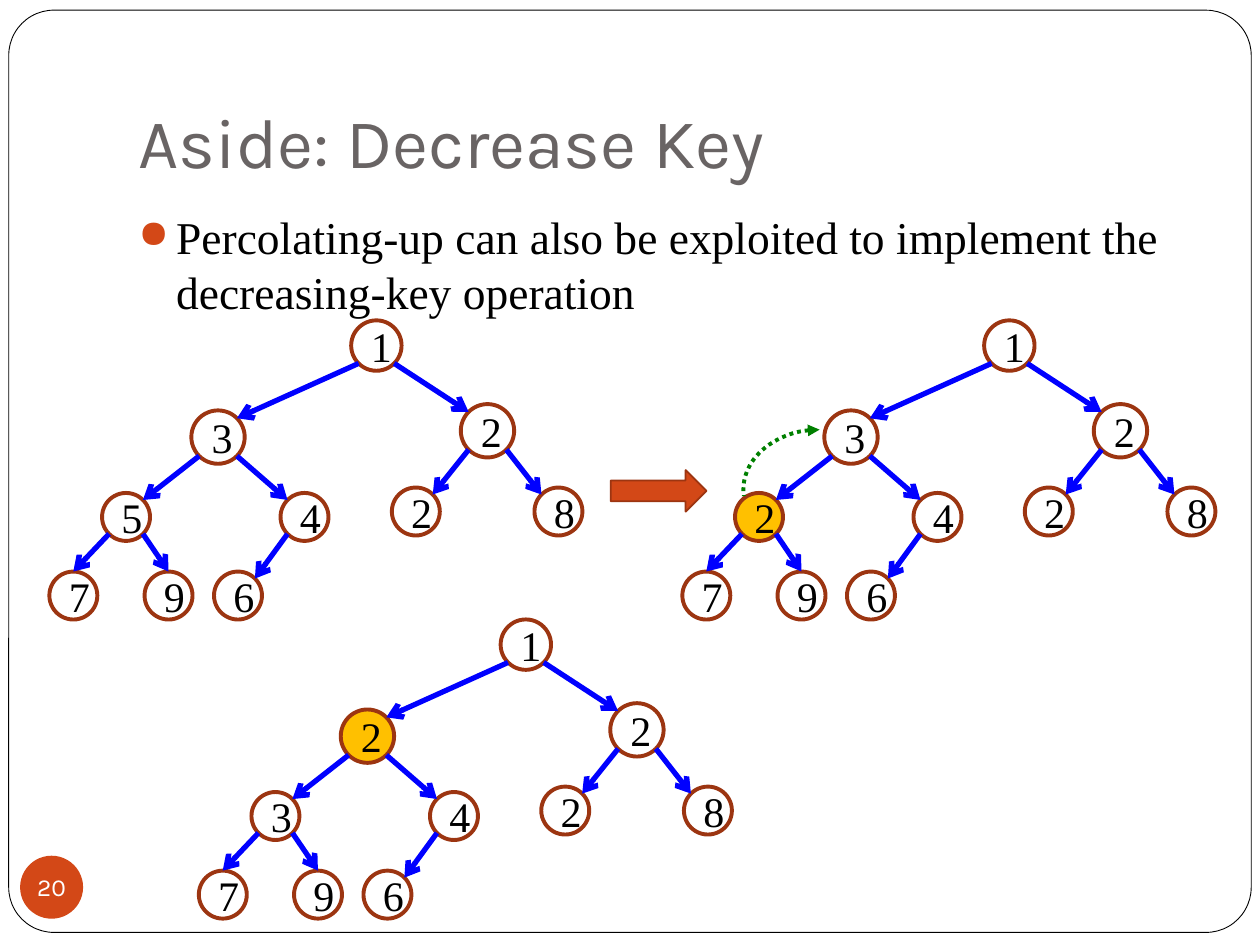
"""Build the slide on the decrease-key operation of a binary heap."""
from math import sqrt

from lxml.etree import SubElement
from pptx import Presentation
from pptx.dml.color import RGBColor
from pptx.enum.dml import MSO_LINE
from pptx.enum.shapes import MSO_CONNECTOR, MSO_SHAPE
from pptx.enum.text import MSO_ANCHOR, PP_ALIGN
from pptx.oxml.ns import qn
from pptx.util import Pt

COLORS = {
    "paper": "FFFFFF", "ink": "000000", "title": "696464", "accent": "D34817",
    "outline": "9C3511", "edge": "0000FF", "changed": "FFC000", "move": "008000",
}
SERIF, SANS = "Times New Roman", "Karla"


def style(shape, fill=None, line=None, width=0):
    shape.shadow.inherit = False
    if fill:
        shape.fill.solid()
        shape.fill.fore_color.rgb = RGBColor.from_string(COLORS[fill])
    else:
        shape.fill.background()
    if line:
        shape.line.color.rgb = RGBColor.from_string(COLORS[line])
        shape.line.width = Pt(width)
    else:
        shape.line.fill.background()


def write(shape, text, size, font, color, align=PP_ALIGN.CENTER):
    shape.text_frame.word_wrap = True
    para = shape.text_frame.paragraphs[0]
    para.alignment = align
    span = para.add_run()
    span.text = text
    span.font.size = Pt(size)
    span.font.name = font
    span.font.color.rgb = RGBColor.from_string(COLORS[color])


deck = Presentation()
deck.slide_width, deck.slide_height = Pt(720), Pt(540)
page = deck.slides.add_slide(deck.slide_layouts[6])

frame = page.shapes.add_shape(MSO_SHAPE.ROUNDED_RECTANGLE, Pt(5), Pt(5.8), Pt(710), Pt(527))
frame.adjustments[0] = 0.049
style(frame, "paper", "ink", 0.5)

title = page.shapes.add_textbox(Pt(72), Pt(21.6), Pt(612), Pt(90))
title.text_frame.vertical_anchor = MSO_ANCHOR.BOTTOM
title.text_frame.margin_bottom = Pt(7.2)
write(title, "Aside: Decrease Key", 40, SANS, "title", PP_ALIGN.LEFT)

badge = page.shapes.add_shape(MSO_SHAPE.OVAL, Pt(11.5), Pt(489), Pt(36), Pt(36))
style(badge, "accent")
write(badge, "20", 14, SANS, "paper")
badge.text_frame.margin_left = badge.text_frame.margin_right = 0
badge.text_frame.margin_top = badge.text_frame.margin_bottom = 0
badge.text_frame.word_wrap = False

body = page.shapes.add_textbox(Pt(72), Pt(116), Pt(612), Pt(360))
bullet = body.text_frame.paragraphs[0]._p.get_or_add_pPr()
bullet.set("marL", str(Pt(21.6)))
bullet.set("indent", str(-Pt(21.6)))
SubElement(SubElement(bullet, qn("a:buClr")), qn("a:srgbClr"), val=COLORS["accent"])
SubElement(bullet, qn("a:buSzPct"), val="85000")
SubElement(bullet, qn("a:buChar"), char="●")
write(body, "Percolating-up can also be exploited to implement the decreasing-key operation",
      26, SERIF, "ink", PP_ALIGN.LEFT)

step = page.shapes.add_shape(MSO_SHAPE.RIGHT_ARROW, Pt(349), Pt(268.6), Pt(54.7), Pt(23.8))
style(step, "accent", "outline", 1)

# (centre x, centre y, diameter) in heap order
NODES = [
    (215.1, 197.5, 28.8),
    (124.6, 249.8, 30.5), (278.6, 246.2, 30.5),
    (72, 295.4, 27.4), (174, 295.4, 27.4), (237.6, 292.3, 27.4), (319.1, 292.3, 27.4),
    (41.9, 340.3, 27.4), (96.3, 340.3, 27.4), (136, 340.3, 27.4),
]
TREES = [
    (0, 0, "1325428796", None),
    (361.7, 0, "1322428796", 3),
    (85.4, 170.9, "1223428796", 1),
]
TOP_ENTRY = (7, 8)

for left, top, keys, changed in TREES:
    tree = page.shapes.add_group_shape().shapes
    for index, (key, (x, y, size)) in enumerate(zip(keys, NODES)):
        radius = size / 2
        node = tree.add_shape(MSO_SHAPE.OVAL, Pt(left + x - radius), Pt(top + y - radius),
                              Pt(size), Pt(size))
        style(node, "changed" if index == changed else None, "outline", 2.25)
        write(node, key, 24, SERIF, "ink")
        if index == 0:
            continue
        parent_x, parent_y, parent_size = NODES[(index - 1) // 2]
        side = -1 if index % 2 else 1
        reach, inset = parent_size / sqrt(8), size / sqrt(8)
        end_x, end_y = (x, y - radius) if index in TOP_ENTRY else (x - side * inset, y - inset)
        edge = tree.add_connector(
            MSO_CONNECTOR.STRAIGHT,
            Pt(left + parent_x + side * reach), Pt(top + parent_y + reach),
            Pt(left + end_x), Pt(top + end_y))
        edge.line.color.rgb = RGBColor.from_string(COLORS["edge"])
        edge.line.width = Pt(3)
        SubElement(edge.line._get_or_add_ln(), qn("a:tailEnd"), type="arrow")
        SubElement(edge._element.spPr, qn("a:effectLst"))

move = page.shapes.add_shape(MSO_SHAPE.ARC, Pt(424.8), Pt(245.5), Pt(87.1), Pt(68.4))
move.adjustments[0], move.adjustments[1] = 162, 2.966
move._element.spPr.xfrm.set("flipH", "1")
style(move, None, "move", 2.25)
move.line.dash_style = MSO_LINE.ROUND_DOT
SubElement(move.line._get_or_add_ln(), qn("a:headEnd"), type="triangle")

deck.save("out.pptx")
